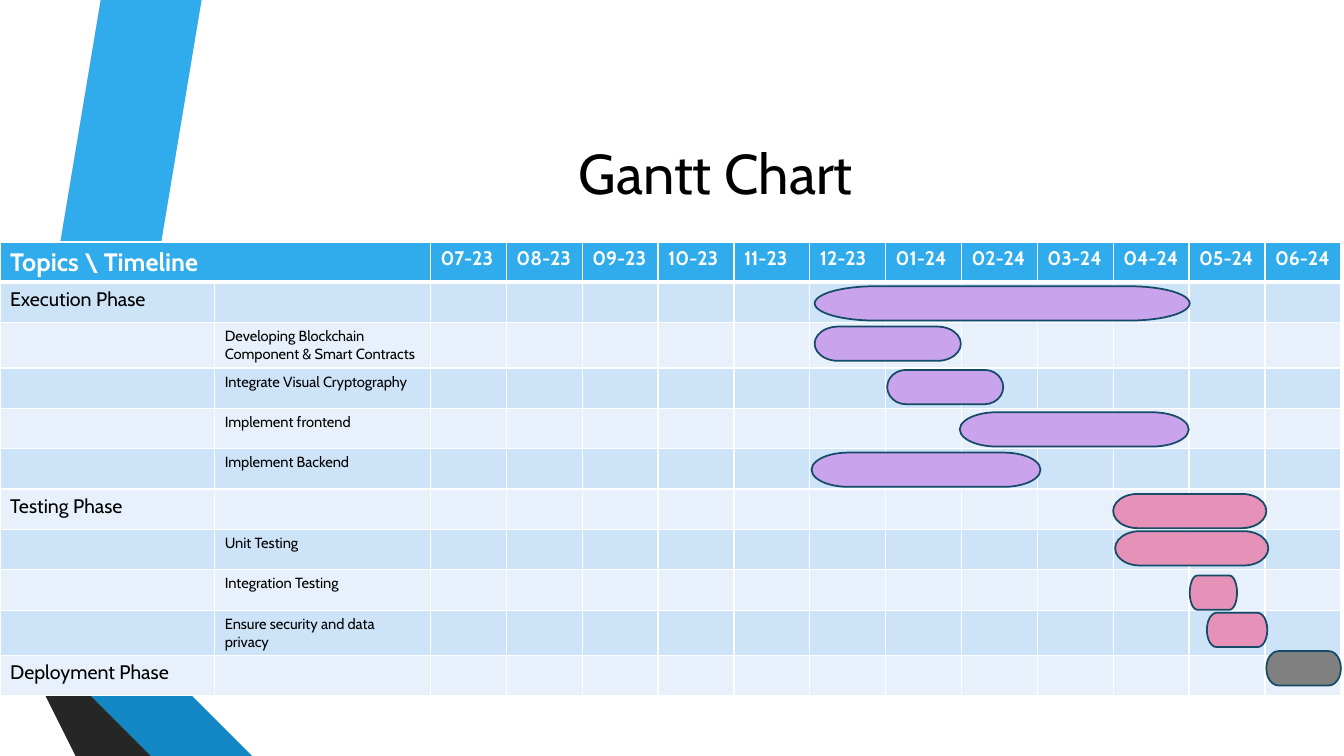
"""Build the Gantt chart slide of the project phases."""
from lxml.etree import SubElement
from pptx import Presentation
from pptx.dml.color import RGBColor
from pptx.enum.shapes import MSO_SHAPE as Shape
from pptx.enum.text import MSO_ANCHOR as Anchor, PP_ALIGN as Align
from pptx.oxml.ns import qn
from pptx.util import Inches, Pt

THEME = {
    "font": "Cabin",
    "white": "FFFFFF", "text": "000000", "header": "30ACEC",
    "bands": ("CDE3F8", "E8F1FB"), "bar_line": "154B67",
    "execution": "CAA3ED", "testing": "E691B7", "deployment": "808080",
    "title_size": 40, "header_size": 18, "phase_size": 14, "task_size": 10.5,
    "bar_width": 1.25, "grid_width": 1, "rule_width": 3,
}

TITLE = "Gantt Chart"
CORNER = "Topics \\ Timeline"
MONTHS = ["07-23", "08-23", "09-23", "10-23", "11-23", "12-23",
          "01-24", "02-24", "03-24", "04-24", "05-24", "06-24"]
PHASES = [
    ("Execution Phase", ["Developing Blockchain Component & Smart Contracts",
                         "Integrate Visual Cryptography",
                         "Implement frontend", "Implement Backend"]),
    ("Testing Phase", ["Unit Testing", "Integration Testing",
                       "Ensure security and data privacy"]),
    ("Deployment Phase", []),
]
BARS = {
    "execution": [(8.08, 2.84, 3.72), (8.08, 3.24, 1.45), (8.8, 3.67, 1.15),
                  (9.52, 4.09, 2.27), (8.05, 4.49, 2.27)],
    "testing": [(11.06, 5.27, 1.52), (11.8, 5.71, 0.47), (11.97, 6.08, 0.6),
                (11.04, 4.9, 1.52)],
    "deployment": [(12.56, 6.46, 0.74)],
}
STRIPES = [
    ("30ACEC", [(0.5, 5.78), (0.77, 5.83), (1.73, 0), (1.45, 0)]),
    ("595959", [(1.39, 0), (1.11, 0), (0.16, 5.73), (0.44, 5.77)]),
    ("262626", [(0.16, 5.73), (1.45, 7.5), (1.51, 7.5)]),
    ("0C5A82", [(0.5, 5.79), (2.08, 7.5), (2.14, 7.5)]),
    ("1287C3", [(0.5, 5.79), (2.14, 7.5), (2.83, 7.5), (0.77, 5.83), (0.5, 5.78)]),
    ("404040", [(2.02, 7.5), (0.48, 5.83), (0.43, 5.77), (0.16, 5.73), (1.51, 7.5)]),
]
TABLE_TOP, TABLE_WIDTH, ROW_HEIGHT = 2.4, 13.3, 0.39
LABEL_WIDTHS = [2.13, 2.14]
BAR_HEIGHT = 0.34


def rgb(value):
    return RGBColor.from_string(value)


def add_run(p, text, size, color, bold=False):
    r = p.add_run()
    r.text = text
    r.font.name = THEME["font"]
    r.font.size = Pt(size)
    r.font.bold = bold
    r.font.color.rgb = rgb(color)


def paint(sp, fill):
    sp.shadow.inherit = False
    sp.fill.solid()
    sp.fill.fore_color.rgb = rgb(fill)


def add_stripe(slide, fill, points):
    builder = slide.shapes.build_freeform(*points[0], scale=Inches(1))
    builder.add_line_segments(points[1:], close=True)
    sp = builder.convert_to_shape()
    paint(sp, fill)
    sp.line.fill.background()


def add_title(slide):
    box = slide.shapes.add_textbox(Inches(1.62), Inches(0.75), Inches(10.96), Inches(1.92))
    tf = box.text_frame
    tf.word_wrap = True
    tf.vertical_anchor = Anchor.MIDDLE
    p = tf.paragraphs[0]
    p.alignment = Align.CENTER
    add_run(p, TITLE, THEME["title_size"], THEME["text"])


def style_cell(cell, row):
    tc_pr = cell._tc.get_or_add_tcPr()
    rules = {"T": row == 1, "B": row == 0}
    for side in "LRTB":
        width = THEME["rule_width" if rules.get(side) else "grid_width"]
        ln = SubElement(tc_pr, qn(f"a:ln{side}"), w=str(Pt(width)))
        fill = SubElement(ln, qn("a:solidFill"))
        SubElement(fill, qn("a:srgbClr"), val=THEME["white"])
    cell.fill.solid()
    color = THEME["bands"][(row - 1) % 2] if row else THEME["header"]
    cell.fill.fore_color.rgb = rgb(color)


def add_table(slide):
    labels = [item for phase, tasks in PHASES
              for item in [(0, phase), *((1, task) for task in tasks)]]
    month_width = (TABLE_WIDTH - sum(LABEL_WIDTHS)) / len(MONTHS)
    widths = LABEL_WIDTHS + [month_width] * len(MONTHS)
    rows = len(labels) + 1
    table = slide.shapes.add_table(rows, len(widths), Inches(0), Inches(TABLE_TOP),
                                   Inches(TABLE_WIDTH), Inches(ROW_HEIGHT * rows)).table
    for column, width in zip(table.columns, widths):
        column.width = Inches(width)
    for i in range(rows):
        for j in range(len(widths)):
            style_cell(table.cell(i, j), i)
    table.cell(0, 0).merge(table.cell(0, 1))

    def write(row, column, *args):
        add_run(table.cell(row, column).text_frame.paragraphs[0], *args)

    write(0, 0, CORNER, THEME["header_size"], THEME["white"], True)
    for j, month in enumerate(MONTHS, len(LABEL_WIDTHS)):
        write(0, j, month, THEME["phase_size"], THEME["white"], True)
    for i, (level, text) in enumerate(labels, 1):
        write(i, level, text, THEME["task_size" if level else "phase_size"], THEME["text"])


def add_bar(slide, phase, left, top, width):
    sp = slide.shapes.add_shape(Shape.FLOWCHART_TERMINATOR, Inches(left), Inches(top),
                                Inches(width), Inches(BAR_HEIGHT))
    paint(sp, THEME[phase])
    sp.line.color.rgb = rgb(THEME["bar_line"])
    sp.line.width = Pt(THEME["bar_width"])


def main():
    prs = Presentation()
    prs.slide_width, prs.slide_height = Inches(13.33), Inches(7.5)
    s = prs.slides.add_slide(prs.slide_layouts[6])
    for fill, points in STRIPES:
        add_stripe(s, fill, points)
    add_title(s)
    add_table(s)
    for phase, bars in BARS.items():
        for bar in bars:
            add_bar(s, phase, *bar)
    prs.save("out.pptx")


if __name__ == "__main__":
    main()
